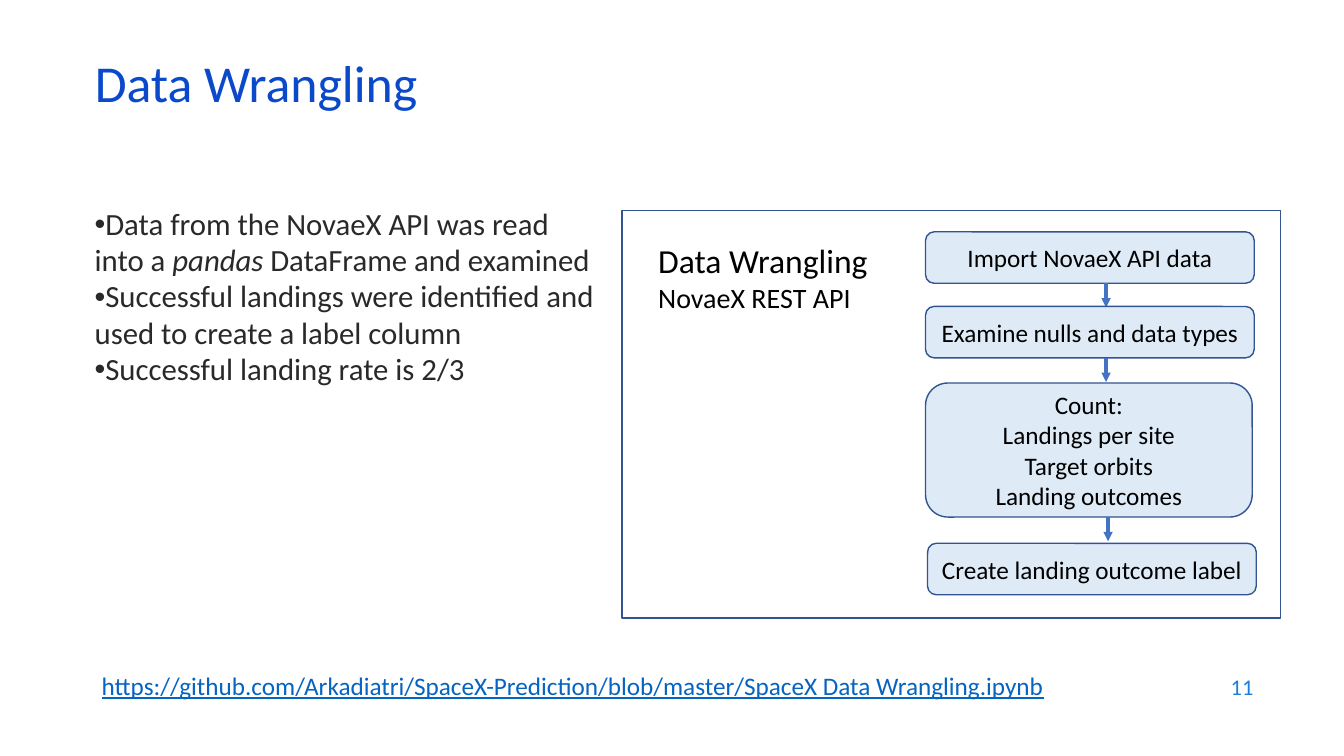
from dataclasses import dataclass

from lxml import etree
from pptx import Presentation
from pptx.dml.color import RGBColor
from pptx.enum import shapes, text
from pptx.oxml.ns import qn
from pptx.util import Inches, Pt

FONT = "Calibri"
BLACK, WHITE = "000000", "FFFFFF"
OUTLINE, STEP_FILL, ARROW = "325491", "DEEBF7", "4472C4"
ARROW_LENGTH = 0.24


@dataclass
class Run:
    text: str
    size: float | None = None
    italic: bool = False


@dataclass
class Step:
    left: float
    top: float
    width: float
    height: float
    lines: list[str]
    arrow_x: float | None = None


def color(code: str) -> RGBColor:
    return RGBColor.from_string(code)


def add_bullet(paragraph) -> None:
    properties = paragraph._p.get_or_add_pPr()
    properties.set("marL", "0")
    properties.set("indent", "0")
    etree.SubElement(properties, qn("a:buFont")).set("typeface", "Arial")
    etree.SubElement(properties, qn("a:buChar")).set("char", "•")


def write(frame, paragraphs: list[list[Run]], *, size: float = 18, ink: str = BLACK,
          align=text.PP_ALIGN.LEFT, anchor=text.MSO_ANCHOR.TOP, spacing: float | None = None,
          bullet: bool = False, underline: bool = False) -> None:
    """Fill a text frame with paragraphs of runs in one format."""
    frame.word_wrap = True
    frame.auto_size = text.MSO_AUTO_SIZE.NONE
    frame.vertical_anchor = anchor
    for index, runs in enumerate(paragraphs):
        paragraph = frame.add_paragraph() if index else frame.paragraphs[0]
        if bullet:
            add_bullet(paragraph)
        paragraph.alignment = align
        if spacing:
            paragraph.line_spacing = spacing
        for part in runs:
            run = paragraph.add_run()
            run.text = part.text
            font = run.font
            font.name, font.size = FONT, Pt(part.size or size)
            font.color.rgb = color(ink)
            if part.italic:
                font.italic = True
            if underline:
                font.underline = True


def add_text(slide, left: float, top: float, width: float, height: float,
             paragraphs: list[list[Run]], **style) -> None:
    box = slide.shapes.add_textbox(Inches(left), Inches(top), Inches(width), Inches(height))
    write(box.text_frame, paragraphs, **style)


def add_box(slide, kind, left: float, top: float, width: float, height: float, fill: str):
    box = slide.shapes.add_shape(kind, Inches(left), Inches(top), Inches(width), Inches(height))
    box.shadow.inherit = False
    box.fill.solid()
    box.fill.fore_color.rgb = color(fill)
    box.line.color.rgb = color(OUTLINE)
    box.line.width = Pt(1)
    return box


def add_arrow(slide, x: float, top: float) -> None:
    arrow = slide.shapes.add_connector(shapes.MSO_CONNECTOR.STRAIGHT, Inches(x), Inches(top),
                                       Inches(x), Inches(top + ARROW_LENGTH))
    arrow.line.color.rgb = color(ARROW)
    arrow.line.width = Pt(2.25)
    etree.SubElement(arrow.line._get_or_add_ln(), qn("a:tailEnd")).set("type", "triangle")
    etree.SubElement(arrow._element.spPr, qn("a:effectLst"))


def add_step(slide, step: Step) -> None:
    box = add_box(slide, shapes.MSO_SHAPE.ROUNDED_RECTANGLE, step.left, step.top,
                  step.width, step.height, STEP_FILL)
    write(box.text_frame, [[Run(line)] for line in step.lines],
          align=text.PP_ALIGN.CENTER, anchor=text.MSO_ANCHOR.MIDDLE)
    if step.arrow_x:
        add_arrow(slide, step.arrow_x, step.top + step.height)


FINDINGS = [
    [Run("Data from the NovaeX API was read into a "), Run("pandas", italic=True),
     Run(" DataFrame and examined")],
    [Run("Successful landings were identified and used to create a label column")],
    [Run("Successful landing rate is 2/3")],
]
STEPS = [
    Step(9.18, 2.3, 3.26, 0.51, ["Import NovaeX API data"], 10.97),
    Step(9.18, 3.04, 3.26, 0.51, ["Examine nulls and data types"], 10.97),
    Step(9.18, 3.8, 3.24, 1.33,
         ["Count:", "Landings per site", "Target orbits", "Landing outcomes"], 10.99),
    Step(9.2, 5.39, 3.26, 0.51, ["Create landing outcome label"]),
]
NOTEBOOK = ("https://github.com/Arkadiatri/SpaceX-Prediction/blob/master/"
            "SpaceX Data Wrangling.ipynb")


def main() -> None:
    deck = Presentation()
    deck.slide_width, deck.slide_height = Inches(13.33), Inches(7.5)
    slide = deck.slides.add_slide(deck.slide_layouts[5])

    # Title
    title = slide.shapes.title
    title.left, title.top = Inches(0.84), Inches(0.59)
    title.width, title.height = Inches(11.5), Inches(0.6)
    write(title.text_frame, [[Run("Data Wrangling")]], size=37, ink="0B49CB",
          anchor=text.MSO_ANCHOR.MIDDLE, spacing=0.7)

    # Findings
    add_text(slide, 0.84, 2, 5.15, 4.79, FINDINGS, size=22, ink="292929",
             spacing=0.98, bullet=True)

    # Process panel
    add_box(slide, shapes.MSO_SHAPE.RECTANGLE, 6.17, 2.09, 6.53, 4.04, WHITE)
    add_text(slide, 6.43, 2.33, 2.5, 0.84,
             [[Run("Data Wrangling", 24)], [Run("NovaeX REST API", 20)]])
    for step in STEPS:
        add_step(slide, step)

    # Footer
    add_text(slide, 0.91, 6.6, 11.52, 0.4, [[Run(NOTEBOOK)]], ink="0563C1", underline=True)
    add_text(slide, 9.53, 6.59, 3, 0.44, [[Run("11")]], size=16, ink="1C7DDB",
             align=text.PP_ALIGN.RIGHT, anchor=text.MSO_ANCHOR.MIDDLE)

    deck.save("out.pptx")


if __name__ == "__main__":
    main()
